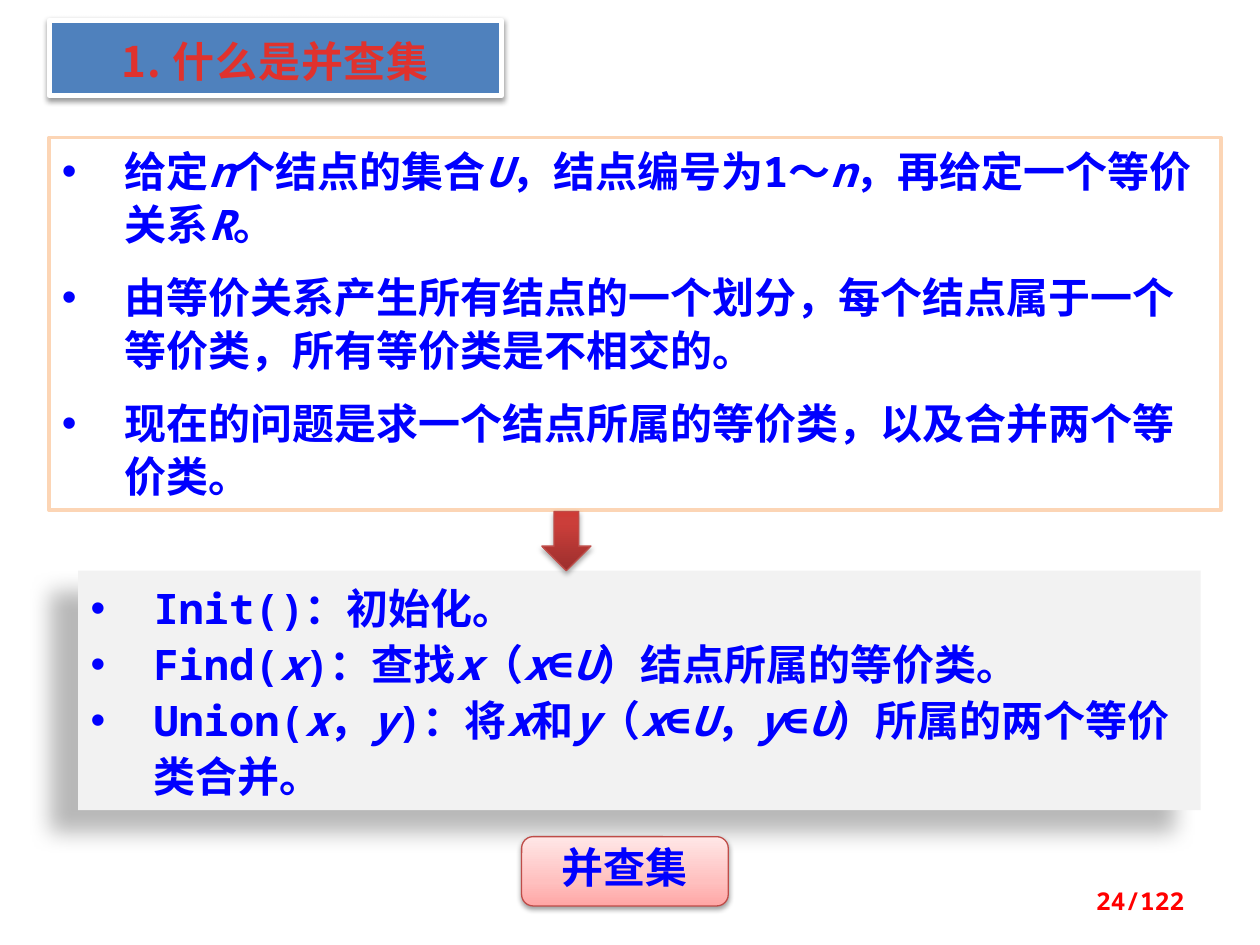
from lxml import etree
from pptx import Presentation
from pptx.dml.color import RGBColor
from pptx.enum import shapes, text
from pptx.oxml.ns import qn
from pptx.util import Inches, Pt

COLORS = {
    "white": "FFFFFF", "blue": "0000FF", "red": "FF0000", "black": "000000",
    "peach": "FCD5B5", "gray": "F2F2F2", "banner": "4F81BD",
    "title": "E0322D", "brick": "BF4C48",
}
ARROW_STOPS = [(0, "9C2F2D"), (80, "CB3E3A"), (100, "CE3B37")]
LABEL_STOPS = [(0, "FFA6A5"), (35, "FFC0BF"), (100, "FFE7E7")]
MONO, SANS = "Noto Sans Mono", "Noto Sans CJK SC"

DEFINITIONS = [
    "给定*n*个结点的集合*U*，结点编号为1～*n*，再给定一个等价关系*R*。",
    "由等价关系产生所有结点的一个划分，每个结点属于一个等价类，所有等价类是不相交的。",
    "现在的问题是求一个结点所属的等价类，以及合并两个等价类。",
]
OPERATIONS = [
    "Init()：初始化。",
    "Find(*x*)：查找*x*（*x*∈*U*）结点所属的等价类。",
    "Union(*x*，*y*)：将*x*和*y*（*x*∈*U*，*y*∈*U*）所属的两个等价类合并。",
]


def color(name):
    return RGBColor.from_string(COLORS[name])


def place(shape, left, top, width, height):
    shape.left, shape.top = Inches(left), Inches(top)
    shape.width, shape.height = Inches(width), Inches(height)


def outline(shape, line, line_width=0.75):
    if line is None:
        shape.line.fill.background()
    else:
        shape.line.color.rgb = color(line)
        shape.line.width = Pt(line_width)


def paint(shape, fill, line=None, line_width=0.75):
    shape.fill.solid()
    shape.fill.fore_color.rgb = color(fill)
    outline(shape, line, line_width)


def paint_gradient(shape, stops):
    shape.fill.gradient()
    shape.fill.gradient_angle = 90
    stop_list = shape._element.spPr.find(".//" + qn("a:gsLst"))
    for stop in list(stop_list):
        stop_list.remove(stop)
    for position, value in stops:
        stop = etree.SubElement(stop_list, qn("a:gs"), pos=str(position * 1000))
        etree.SubElement(stop, qn("a:srgbClr"), val=value)
    outline(shape, "brick")


def add_shadow(shape, alpha, blur, distance, direction):
    shape.shadow.inherit = False
    effects = shape._element.spPr.find(qn("a:effectLst"))
    shadow = etree.SubElement(
        effects, qn("a:outerShdw"), blurRad=str(Pt(blur)), dist=str(Pt(distance)),
        dir=str(direction * 60000), algn="ctr", rotWithShape="0")
    shade = etree.SubElement(shadow, qn("a:srgbClr"), val=COLORS["black"])
    etree.SubElement(shade, qn("a:alpha"), val=str(alpha * 1000))


def set_frame(shape, anchor):
    frame = shape.text_frame
    frame.word_wrap = True
    frame.auto_size = text.MSO_AUTO_SIZE.NONE
    frame.vertical_anchor = anchor
    return frame


def style(paragraph, face, name, size=24):
    font = paragraph.font
    font.name, font.size, font.bold = face, Pt(size), True
    font.color.rgb = color(name)
    defaults = paragraph._p.pPr.find(qn("a:defRPr"))
    etree.SubElement(defaults, qn("a:ea"), typeface=face)
    return defaults


def write_line(frame, content, alignment, face, name, size=24):
    paragraph = frame.paragraphs[0]
    paragraph.alignment = alignment
    paragraph.add_run().text = content
    return paragraph, style(paragraph, face, name, size)


def write_bullets(shape, items, line_spacing, gap):
    frame = set_frame(shape, text.MSO_ANCHOR.TOP)
    for index, item in enumerate(items):
        paragraph = frame.add_paragraph() if index else frame.paragraphs[0]
        paragraph.alignment = text.PP_ALIGN.LEFT
        paragraph.line_spacing = Pt(line_spacing)
        paragraph.space_before = Pt(gap if index else 0)
        properties = paragraph._p.get_or_add_pPr()
        properties.set("marL", str(Inches(0.5)))
        properties.set("indent", str(Inches(-0.5)))
        etree.SubElement(properties, qn("a:buFont"), typeface="Arial")
        etree.SubElement(properties, qn("a:buChar"), char="•")
        style(paragraph, MONO, "blue")
        for part, content in enumerate(item.split("*")):
            run = paragraph.add_run()
            run.text = content
            if part % 2:
                run.font.italic = True


def add_preset(slide, preset, *box):
    return slide.shapes.add_shape(preset, *map(Inches, box))


def add_title(slide):
    title = slide.shapes.title
    place(title, 0.39, 0.16, 3.59, 0.6)
    paint(title, "banner", "white", 3)
    add_shadow(title, 38, 3.1, 1.6, 90)
    frame = set_frame(title, text.MSO_ANCHOR.TOP)
    frame.margin_top, frame.margin_bottom = Inches(0.12), Inches(0.08)
    _, defaults = write_line(frame, "1. 什么是并查集", text.PP_ALIGN.CENTER, SANS, "title")
    defaults.set("spc", "50")


def add_definitions(slide):
    body = slide.placeholders[1]
    place(body, 0.39, 1.09, 9.3, 2.96)
    paint(body, "white", "peach", 2)
    write_bullets(body, DEFINITIONS, 30, 12)


def add_operations(slide):
    panel = add_preset(slide, shapes.MSO_SHAPE.RECTANGLE, 0.62, 4.53, 8.91, 1.9)
    paint(panel, "gray")
    add_shadow(panel, 28, 11.8, 19.7, 141)
    write_bullets(panel, OPERATIONS, 32, 0)


def add_arrow(slide):
    arrow = add_preset(slide, shapes.MSO_SHAPE.DOWN_ARROW, 4.3, 4.06, 0.39, 0.47)
    paint_gradient(arrow, ARROW_STOPS)
    add_shadow(arrow, 35, 3.1, 1.8, 90)


def add_label(slide):
    label = add_preset(
        slide, shapes.MSO_SHAPE.FLOWCHART_ALTERNATE_PROCESS, 4.14, 6.64, 1.64, 0.55)
    paint_gradient(label, LABEL_STOPS)
    add_shadow(label, 38, 3.1, 1.6, 90)
    frame = set_frame(label, text.MSO_ANCHOR.MIDDLE)
    paragraph, _ = write_line(frame, "并查集", text.PP_ALIGN.CENTER, SANS, "blue")
    paragraph.line_spacing = 0.8


def add_page_number(slide):
    box = slide.shapes.add_textbox(*map(Inches, (7.17, 6.95, 2.33, 0.4)))
    frame = set_frame(box, text.MSO_ANCHOR.MIDDLE)
    write_line(frame, "24/122", text.PP_ALIGN.RIGHT, MONO, "red", 14)


def main():
    presentation = Presentation()
    presentation.slide_width, presentation.slide_height = Inches(10), Inches(7.5)
    slide = presentation.slides.add_slide(presentation.slide_layouts[1])
    add_title(slide)
    add_definitions(slide)
    add_operations(slide)
    add_arrow(slide)
    add_label(slide)
    add_page_number(slide)
    presentation.save("out.pptx")


if __name__ == "__main__":
    main()
